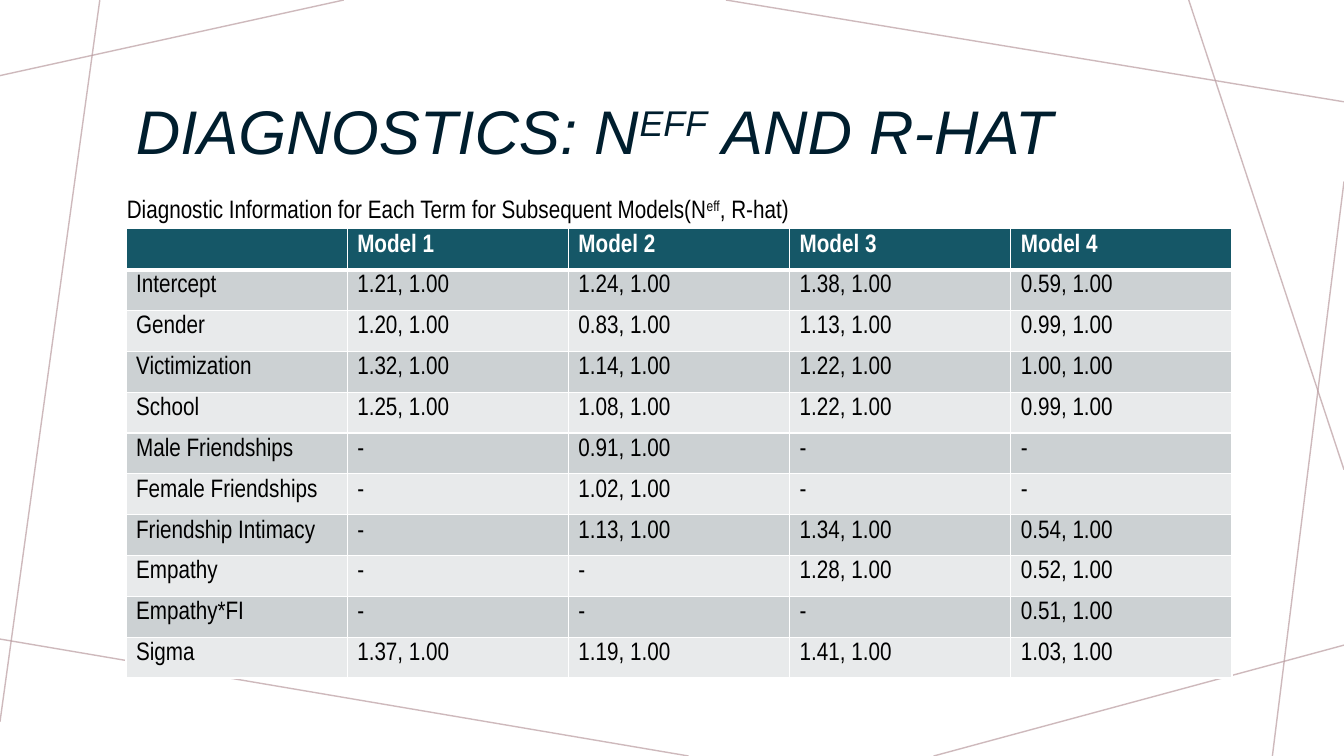
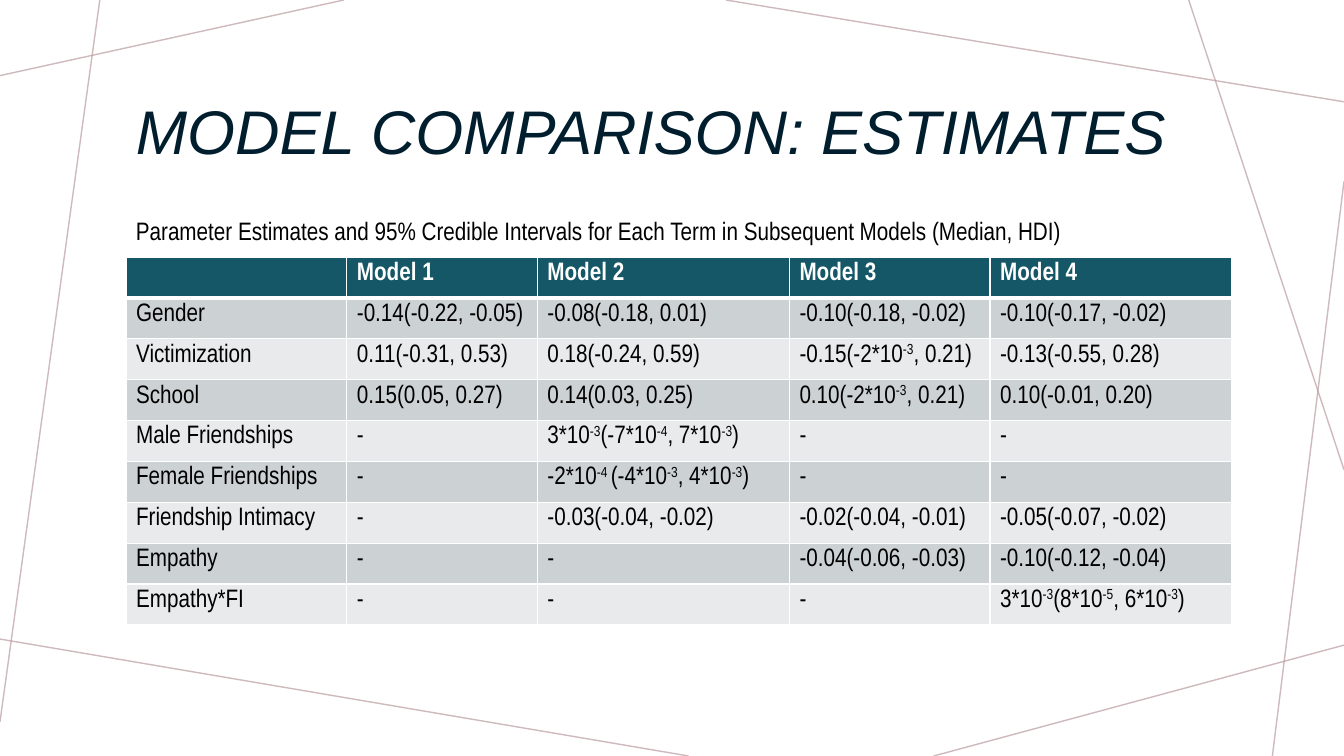
from dataclasses import dataclass

from lxml import etree
from pptx import Presentation
from pptx.dml.color import RGBColor
from pptx.enum import shapes, text
from pptx.oxml import ns
from pptx.util import Inches, Pt


@dataclass(frozen=True)
class Theme:
    title_color: str = "001E2E"
    text_color: str = "000000"
    header_text: str = "FFFFFF"
    header_fill: str = "155767"
    band_fills: tuple = ("CCD1D3", "E8EAEB")
    border: str = "FFFFFF"
    accent_line: str = "BA9CA0"
    accent_opacity: int = 70
    title_font: str = "Arial"
    body_font: str = "Arial Narrow"
    title_size: int = 44
    body_size: int = 18
    thin: int = 1
    thick: int = 3


THEME = Theme()

# Content: text between a pair of ^ marks is superscript
HEADER = ("", "Model 1", "Model 2", "Model 3", "Model 4")
TABLE_LEFT, TABLE_WIDTH = 1.25, 10.97
SLIDES = [
    {
        "title": "DIAGNOSTICS: N^EFF^ AND R-HAT",
        "caption": "Diagnostic Information for Each Term for Subsequent Models(N^eff^, R-hat)",
        "caption_box": (1.16, 1.87, 10.93, 0.4),
        "top": 2.27,
        "height": 4.46,
        "columns": [TABLE_WIDTH / len(HEADER)] * len(HEADER),
        "rows": [
            ("Intercept", "1.21, 1.00", "1.24, 1.00", "1.38, 1.00", "0.59, 1.00"),
            ("Gender", "1.20, 1.00", "0.83, 1.00", "1.13, 1.00", "0.99, 1.00"),
            ("Victimization", "1.32, 1.00", "1.14, 1.00", "1.22, 1.00", "1.00, 1.00"),
            ("School", "1.25, 1.00", "1.08, 1.00", "1.22, 1.00", "0.99, 1.00"),
            ("Male Friendships", "-", "0.91, 1.00", "-", "-"),
            ("Female Friendships", "-", "1.02, 1.00", "-", "-"),
            ("Friendship Intimacy", "-", "1.13, 1.00", "1.34, 1.00", "0.54, 1.00"),
            ("Empathy", "-", "-", "1.28, 1.00", "0.52, 1.00"),
            ("Empathy*FI", "-", "-", "-", "0.51, 1.00"),
            ("Sigma", "1.37, 1.00", "1.19, 1.00", "1.41, 1.00", "1.03, 1.00"),
        ],
    },
    {
        "title": "MODEL COMPARISON: ESTIMATES",
        "caption": "Parameter Estimates and 95% Credible Intervals for Each Term "
                   "in Subsequent Models (Median, HDI)",
        "caption_box": (1.25, 2.09, 10.97, 0.4),
        "top": 2.55,
        "height": 3.65,
        "columns": [2.19, 1.89, 2.5, 1.99, 2.4],
        "rows": [
            ("Gender", "-0.14(-0.22, -0.05)", "-0.08(-0.18, 0.01)",
             "-0.10(-0.18, -0.02)", "-0.10(-0.17, -0.02)"),
            ("Victimization", "0.11(-0.31, 0.53)", "0.18(-0.24, 0.59)",
             "-0.15(-2*10^-3^, 0.21)", "-0.13(-0.55, 0.28)"),
            ("School", "0.15(0.05, 0.27)", "0.14(0.03, 0.25)",
             "0.10(-2*10^-3^, 0.21)", "0.10(-0.01, 0.20)"),
            ("Male Friendships", "-", "3*10^-3^(-7*10^-4^, 7*10^-3^)", "-", "-"),
            ("Female Friendships", "-", "-2*10^-4 ^(-4*10^-3^, 4*10^-3^)", "-", "-"),
            ("Friendship Intimacy", "-", "-0.03(-0.04, -0.02)",
             "-0.02(-0.04, -0.01)", "-0.05(-0.07, -0.02)"),
            ("Empathy", "-", "-", "-0.04(-0.06, -0.03)", "-0.10(-0.12, -0.04)"),
            ("Empathy*FI", "-", "-", "-", "3*10^-3^(8*10^-5^, 6*10^-3^)"),
        ],
    },
]

# Shared decoration and title place
ACCENT_LINES = [
    (3.41, 0, 0, 0.75),
    (0.99, 0, 0, 7.16),
    (6.83, 7.5, 0, 6.34),
    (13.33, 6.4, 9.26, 7.5),
    (13.33, 1.8, 12.62, 7.5),
    (13.33, 4.66, 11.79, 0),
    (13.33, 1.01, 7.2, 0),
]
TITLE_BOX = (1.25, 0.58, 10.83, 1.51)


def rgb(value):
    return RGBColor.from_string(value)


def write(paragraph, marked, font, size, color, bold=False, italic=False):
    style = paragraph.font
    style.name, style.size = font, Pt(size)
    style.bold, style.italic = bold, italic
    style.color.rgb = rgb(color)
    for index, part in enumerate(marked.split("^")):
        if part:
            run = paragraph.add_run()
            run.text = part
            if index % 2:
                run.font._element.set("baseline", "30000")


def add_text(slide, box, marked, anchor=text.MSO_ANCHOR.TOP, **style):
    frame = slide.shapes.add_textbox(*map(Inches, box)).text_frame
    frame.word_wrap = True
    frame.vertical_anchor = anchor
    write(frame.paragraphs[0], marked, **style)
    return frame.paragraphs[0]


def add_accent_lines(slide):
    for ends in ACCENT_LINES:
        accent = slide.shapes.add_connector(
            shapes.MSO_CONNECTOR.STRAIGHT, *map(Inches, ends))
        accent.line.width = Pt(THEME.thin)
        accent.line.color.rgb = rgb(THEME.accent_line)
        properties = accent._element.spPr
        color = properties.find(".//" + ns.qn("a:srgbClr"))
        etree.SubElement(color, ns.qn("a:alpha"), val=str(THEME.accent_opacity * 1000))
        etree.SubElement(properties, ns.qn("a:effectLst"))


def set_borders(cell, top, bottom):
    properties = cell._tc.get_or_add_tcPr()
    widths = {"a:lnL": THEME.thin, "a:lnR": THEME.thin, "a:lnT": top, "a:lnB": bottom}
    for tag, width in widths.items():
        edge = etree.SubElement(properties, ns.qn(tag), w=str(Pt(width)))
        fill = etree.SubElement(edge, ns.qn("a:solidFill"))
        etree.SubElement(fill, ns.qn("a:srgbClr"), val=THEME.border)


def add_model_table(slide, content):
    rows = [HEADER, *content["rows"]]
    place = (TABLE_LEFT, content["top"], TABLE_WIDTH, content["height"])
    table = slide.shapes.add_table(len(rows), len(HEADER), *map(Inches, place)).table
    for column, width in zip(table.columns, content["columns"]):
        column.width = Inches(width)
    for r, values in enumerate(rows):
        table.rows[r].height = Inches(content["height"] / len(rows))
        is_header = r == 0
        for c, value in enumerate(values):
            cell = table.cell(r, c)
            set_borders(cell, top=THEME.thick if r == 1 else THEME.thin,
                        bottom=THEME.thick if is_header else THEME.thin)
            cell.fill.solid()
            cell.fill.fore_color.rgb = rgb(
                THEME.header_fill if is_header else THEME.band_fills[(r - 1) % 2])
            write(cell.text_frame.paragraphs[0], value, THEME.body_font, THEME.body_size,
                  THEME.header_text if is_header else THEME.text_color, bold=is_header)


def add_model_slide(deck, content):
    slide = deck.slides.add_slide(deck.slide_layouts[6])
    add_accent_lines(slide)
    title = add_text(slide, TITLE_BOX, content["title"], text.MSO_ANCHOR.MIDDLE,
                     font=THEME.title_font, size=THEME.title_size,
                     color=THEME.title_color, italic=True)
    title.line_spacing = 0.9
    add_model_table(slide, content)
    add_text(slide, content["caption_box"], content["caption"],
             font=THEME.body_font, size=THEME.body_size, color=THEME.text_color)


def main():
    deck = Presentation()
    deck.slide_width, deck.slide_height = Inches(13.33), Inches(7.5)
    for content in SLIDES:
        add_model_slide(deck, content)
    deck.save("out.pptx")


if __name__ == "__main__":
    main()
